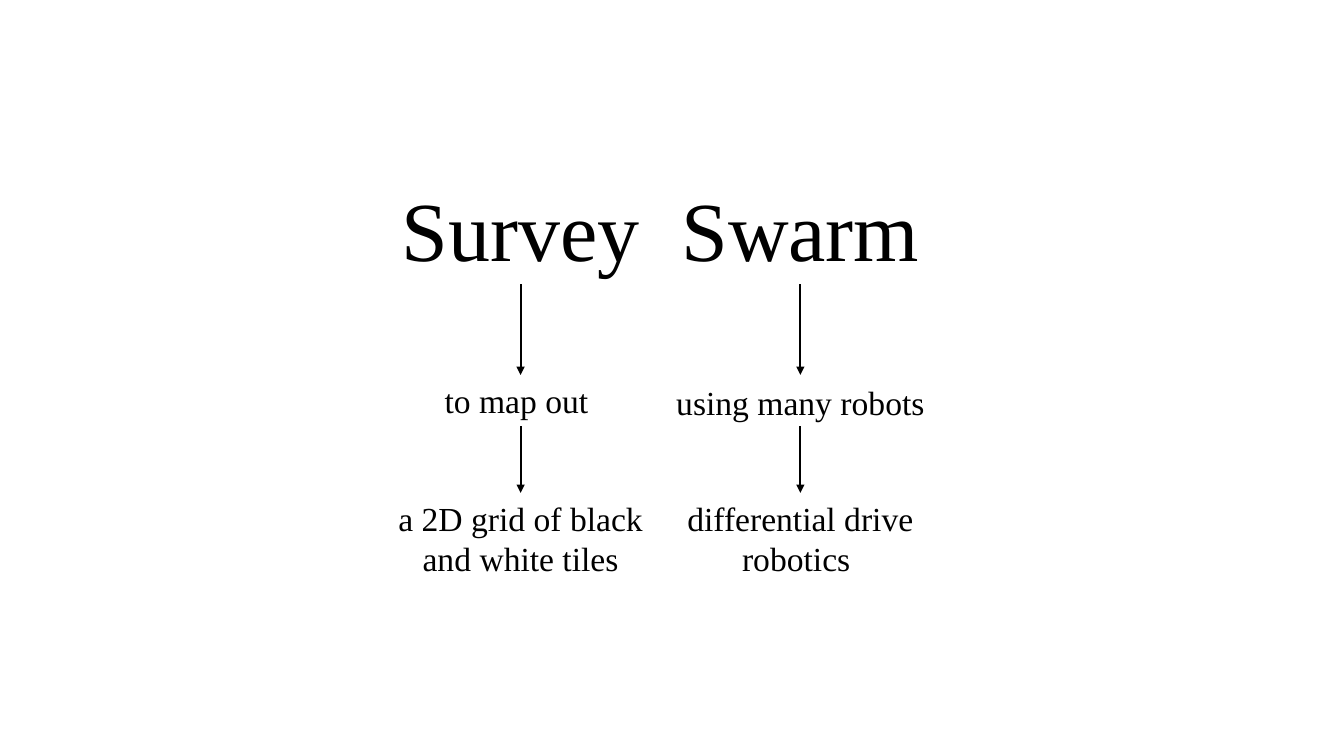
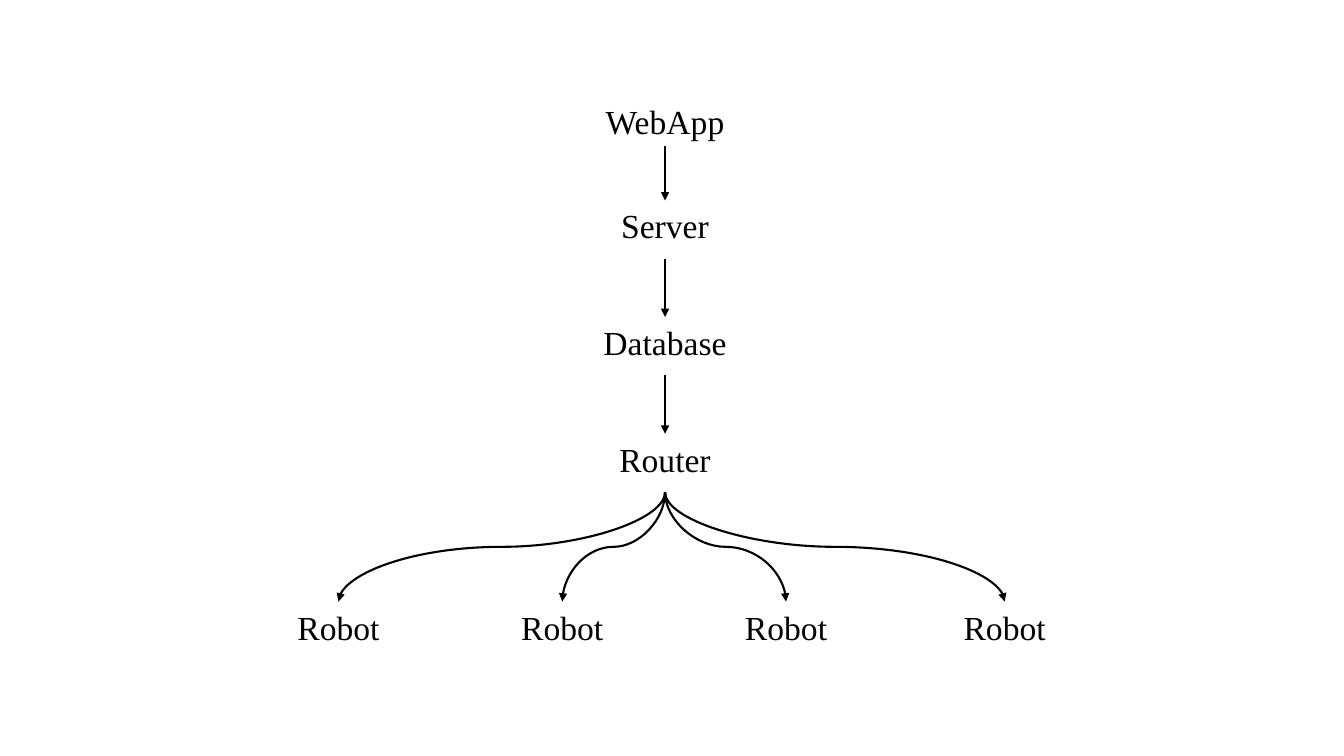
from dataclasses import dataclass
from itertools import pairwise

from pptx import Presentation
from pptx.dml.color import RGBColor
from pptx.enum import shapes, text
from pptx.oxml.ns import qn
from pptx.slide import Slide
from pptx.util import Cm, Pt

COLOURS = {"ink": "000000", "paper": "FFFFFF"}
FONT = "Times New Roman"
LINE_WIDTH = 1.5
QUARTER_TURN = 90 * 60000


@dataclass(frozen=True)
class Label:
    """A text box placed by its horizontal centre; lengths in centimetres."""
    text: str
    centre: float
    top: float
    width: float
    height: float
    size: int = 24
    wrap: bool = True

    @property
    def bottom(self) -> float:
        return self.top + self.height


@dataclass(frozen=True)
class Column:
    """A word and the two phrases that explain it."""
    centre: float
    word: str
    phrase: str
    phrase_top: float
    detail: str
    detail_width: float


COLUMNS = [
    Column(13.12, "Survey", "to map out ", 9.45,
           "a 2D grid of black and white tiles", 7.34),
    Column(20.17, "Swarm", "using many robots", 9.5,
           "differential drive robotics ", 7.82),
]
COLUMN_ARROWS = [(7.16, 9.45), (10.74, 12.42)]

NODE_WIDTH, NODE_HEIGHT = 6.07, 1.47
CHAIN_CENTRE = 16.76
CHAIN = [
    Label("WebApp", CHAIN_CENTRE, 2.41, NODE_WIDTH, 1.27),
    *(Label(name, CHAIN_CENTRE, 5.05 + 2.94 * row, NODE_WIDTH, NODE_HEIGHT)
      for row, name in enumerate(["Server", "Database", "Router"])),
]
ROBOTS = [Label("Robot", centre, 15.16, NODE_WIDTH, NODE_HEIGHT)
          for centre in (8.53, 14.17, 19.81, 25.32)]


def add_text(slide: Slide, content: str, *, centre: float, top: float,
             width: float, height: float, size: int = 24,
             wrap: bool = True, colour: str = "ink") -> None:
    box = slide.shapes.add_textbox(
        Cm(centre - width / 2), Cm(top), Cm(width), Cm(height))
    frame = box.text_frame
    frame.word_wrap = wrap
    paragraph = frame.paragraphs[0]
    paragraph.alignment = text.PP_ALIGN.CENTER
    run = paragraph.add_run()
    run.text = content
    run.font.name = FONT
    run.font.size = Pt(size)
    run.font.color.rgb = RGBColor.from_string(COLOURS[colour])


def add_label(slide: Slide, label: Label) -> None:
    add_text(slide, label.text, centre=label.centre, top=label.top,
             width=label.width, height=label.height, size=label.size,
             wrap=label.wrap)


def add_arrow(slide: Slide, kind: shapes.MSO_CONNECTOR, x1: float, y1: float,
              x2: float, y2: float, turn: int = 0) -> None:
    """Draw an arrow, turned about its centre by a number of quarter turns."""
    connector = slide.shapes.add_connector(kind, Cm(x1), Cm(y1), Cm(x2), Cm(y2))
    connector.line.width = Pt(LINE_WIDTH)
    connector.line.color.rgb = RGBColor.from_string(COLOURS["ink"])
    outline = connector.line._get_or_add_ln()
    head = outline.makeelement(qn("a:tailEnd"), {"type": "triangle"})
    outline.append(head)
    properties = connector._element.spPr
    properties.append(properties.makeelement(qn("a:effectLst"), {}))
    if turn:
        properties.find(qn("a:xfrm")).set("rot", str(turn * QUARTER_TURN))


def add_down_arrow(slide: Slide, centre: float, top: float, bottom: float) -> None:
    add_arrow(slide, shapes.MSO_CONNECTOR.STRAIGHT, centre, top, centre, bottom)


def add_branch(slide: Slide, source: Label, target: Label) -> None:
    """Curve from the bottom of source to the top of target.

    The curve preset leaves sideways, so it is laid flat and then turned.
    """
    middle_x = (source.centre + target.centre) / 2
    middle_y = (source.bottom + target.top) / 2
    half_drop = (target.top - source.bottom) / 2
    half_span = abs(target.centre - source.centre) / 2
    goes_left = target.centre < source.centre
    side = -half_drop if goes_left else half_drop
    add_arrow(slide, shapes.MSO_CONNECTOR.CURVE,
              middle_x + side, middle_y - half_span,
              middle_x - side, middle_y + half_span,
              turn=1 if goes_left else 3)


def add_slide(presentation: Presentation) -> Slide:
    slide = presentation.slides.add_slide(presentation.slide_layouts[6])
    fill = slide.background.fill
    fill.solid()
    fill.fore_color.rgb = RGBColor.from_string(COLOURS["paper"])
    return slide


def build_name_slide(slide: Slide) -> None:
    for column in COLUMNS:
        centre = column.centre
        add_label(slide, Label(column.word, centre, 4.34, 6.66, 2.82,
                               size=60, wrap=False))
        add_label(slide, Label(column.phrase, centre, column.phrase_top, 8.5, 1.27))
        add_label(slide, Label(column.detail, centre, 12.42,
                               column.detail_width, 2.31))
        for top, bottom in COLUMN_ARROWS:
            add_down_arrow(slide, centre, top, bottom)


def build_network_slide(slide: Slide) -> None:
    for label in CHAIN + ROBOTS:
        add_label(slide, label)
    for upper, lower in pairwise(CHAIN):
        add_down_arrow(slide, CHAIN_CENTRE, upper.bottom, lower.top)
    for robot in ROBOTS:
        add_branch(slide, CHAIN[-1], robot)


def main() -> None:
    presentation = Presentation()
    presentation.slide_width = Cm(33.87)
    presentation.slide_height = Cm(19.05)
    build_name_slide(add_slide(presentation))
    build_network_slide(add_slide(presentation))
    presentation.save("out.pptx")


if __name__ == "__main__":
    main()
